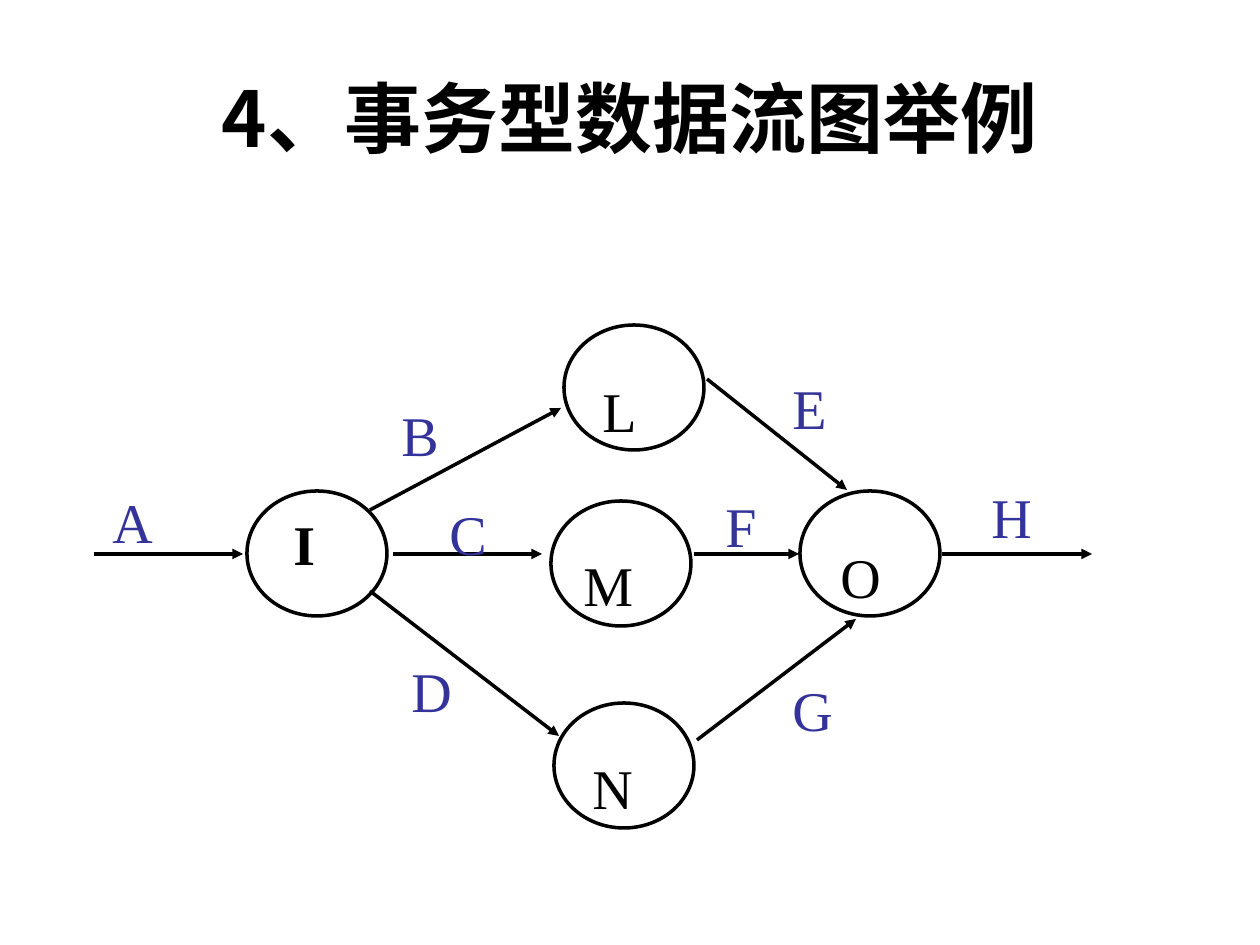
from typing import NamedTuple

from lxml.etree import SubElement
from pptx import Presentation
from pptx.dml.color import RGBColor
from pptx.enum.shapes import MSO_CONNECTOR, MSO_SHAPE
from pptx.enum.text import MSO_ANCHOR, PP_ALIGN
from pptx.oxml.ns import qn
from pptx.slide import Slide
from pptx.util import Pt

PX = 914400 / 126
BLACK = RGBColor(0x00, 0x00, 0x00)
WHITE = RGBColor(0xFF, 0xFF, 0xFF)
INDIGO = RGBColor(0x33, 0x33, 0x99)
LATIN_FONT = "Times New Roman"
CJK_FONT = "Noto Sans CJK SC"
PROCESS_WIDTH, PROCESS_HEIGHT = 140, 125
LABEL_HEIGHT = 81
LINE_WIDTH = Pt(2)


class Label(NamedTuple):
    text: str
    left: int
    top: int
    width: int
    color: RGBColor = INDIGO
    bold: bool = False
    height: int = LABEL_HEIGHT
    size: int = 32
    font: str = LATIN_FONT
    wrap: bool = False
    align: PP_ALIGN = PP_ALIGN.LEFT
    anchor: MSO_ANCHOR = MSO_ANCHOR.TOP


class Process(NamedTuple):
    left: int
    top: int
    name: Label


class Flow(NamedTuple):
    start: tuple[int, int]
    end: tuple[int, int]
    name: Label | None = None


TITLE = Label("4、事务型数据流图举例", 63, 38, 1134, BLACK, True, 158, 44, CJK_FONT,
              True, PP_ALIGN.CENTER, MSO_ANCHOR.MIDDLE)

PROCESSES = [
    Process(247, 491, Label("I", 281, 503, 47, BLACK, True)),
    Process(564, 325, Label("L", 590, 370, 59, BLACK)),
    Process(551, 501, Label("M", 571, 544, 74, BLACK)),
    Process(800, 491, Label("O", 828, 536, 66, BLACK)),
    Process(554, 703, Label("N", 580, 747, 66, BLACK)),
]

FLOWS = [
    Flow((94, 554), (243, 554), Label("A", 100, 481, 66)),
    Flow((370, 510), (561, 408), Label("B", 389, 394, 62)),
    Flow((393, 554), (542, 554), Label("C", 437, 493, 62)),
    Flow((370, 591), (559, 736), Label("D", 399, 650, 66)),
    Flow((707, 379), (847, 490), Label("E", 780, 367, 59)),
    Flow((694, 554), (799, 554), Label("F", 713, 485, 57)),
    Flow((697, 740), (856, 619), Label("G", 780, 669, 66)),
    Flow((942, 554), (1092, 554), Label("H", 979, 476, 66)),
]


def emu(*lengths: int) -> list[int]:
    return [round(length * PX) for length in lengths]


def draw_label(slide: Slide, label: Label) -> None:
    box = slide.shapes.add_textbox(*emu(label.left, label.top, label.width, label.height))
    frame = box.text_frame
    frame.word_wrap = label.wrap
    frame.vertical_anchor = label.anchor
    frame.text = label.text
    paragraph = frame.paragraphs[0]
    paragraph.alignment = label.align
    run = paragraph.runs[0]
    run.font.size = Pt(label.size)
    run.font.bold = label.bold
    run.font.color.rgb = label.color
    run.font.name = label.font
    SubElement(run.font._element, qn("a:ea")).set("typeface", label.font)


def draw_process(slide: Slide, process: Process) -> None:
    circle = slide.shapes.add_shape(
        MSO_SHAPE.OVAL, *emu(process.left, process.top, PROCESS_WIDTH, PROCESS_HEIGHT))
    circle.shadow.inherit = False
    circle.fill.solid()
    circle.fill.fore_color.rgb = WHITE
    circle.line.color.rgb = BLACK
    circle.line.width = LINE_WIDTH


def draw_flow(slide: Slide, flow: Flow) -> None:
    arrow = slide.shapes.add_connector(MSO_CONNECTOR.STRAIGHT, *emu(*flow.start, *flow.end))
    arrow.line.color.rgb = BLACK
    arrow.line.width = LINE_WIDTH
    SubElement(arrow.line._get_or_add_ln(), qn("a:tailEnd")).set("type", "triangle")
    SubElement(arrow._element.spPr, qn("a:effectLst"))


def main() -> None:
    presentation = Presentation()
    presentation.slide_width, presentation.slide_height = emu(1260, 945)
    slide = presentation.slides.add_slide(presentation.slide_layouts[6])

    draw_label(slide, TITLE)
    for process in PROCESSES:
        draw_process(slide, process)
    for flow in FLOWS:
        draw_flow(slide, flow)
    for element in PROCESSES + FLOWS:
        draw_label(slide, element.name)

    presentation.save("out.pptx")


if __name__ == "__main__":
    main()
